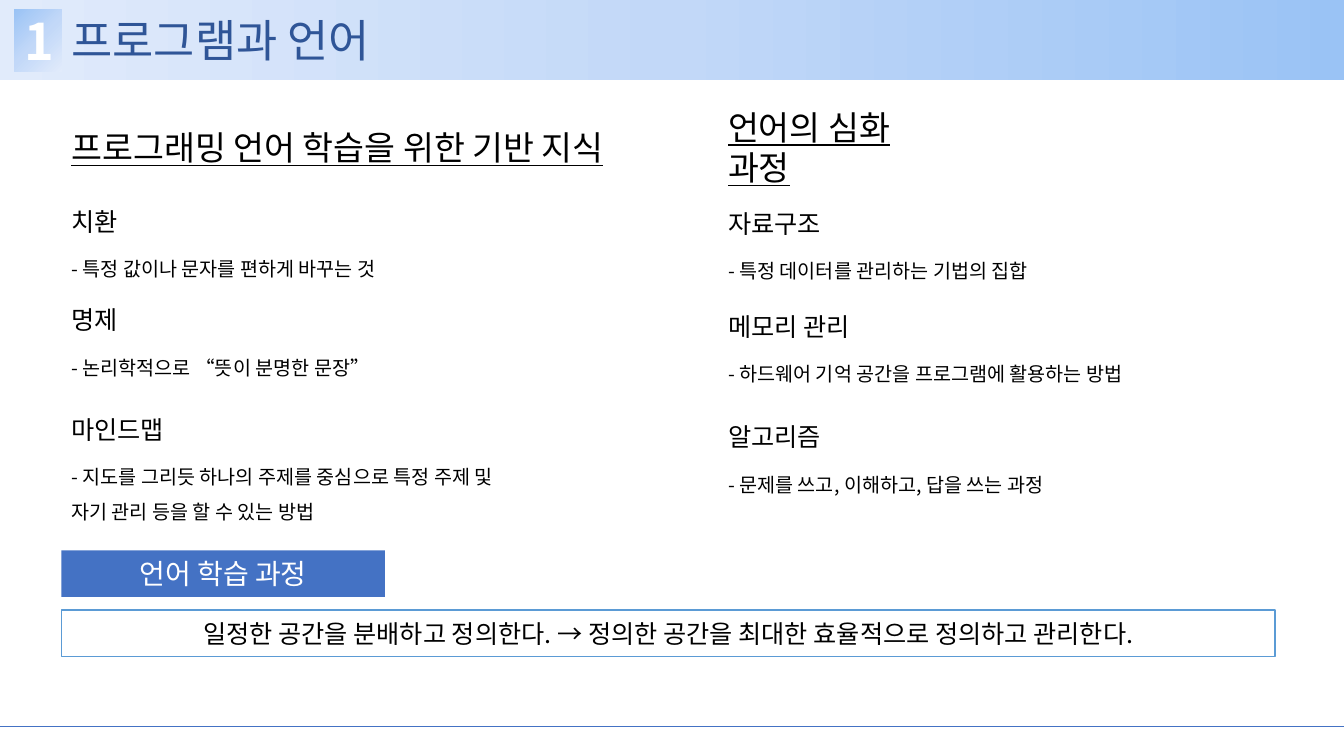
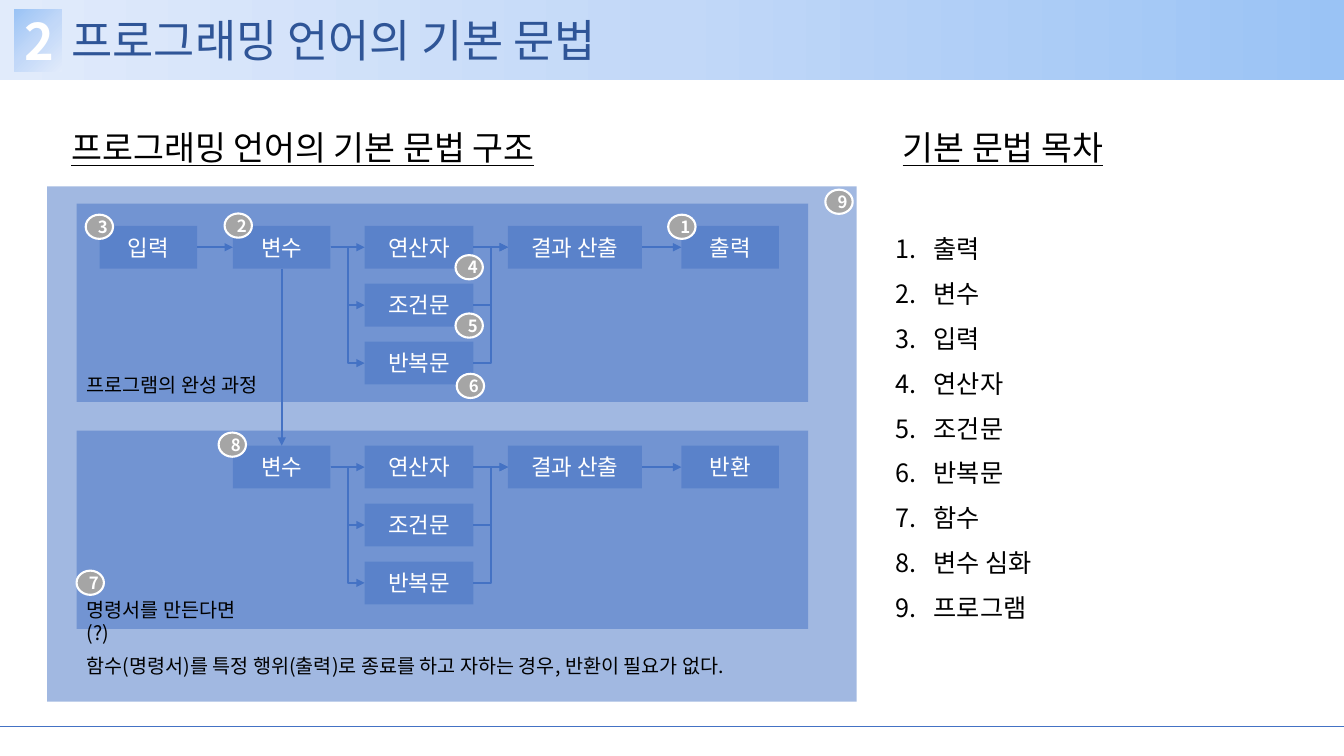
from lxml import etree
from pptx import Presentation
from pptx.dml.color import RGBColor
from pptx.enum.shapes import MSO_CONNECTOR, MSO_SHAPE
from pptx.enum.text import MSO_ANCHOR, PP_ALIGN
from pptx.oxml.ns import qn
from pptx.util import Cm, Pt

RECT, OVAL = MSO_SHAPE.RECTANGLE, MSO_SHAPE.OVAL
STRAIGHT, ELBOW = MSO_CONNECTOR.STRAIGHT, MSO_CONNECTOR.ELBOW
TOP, MIDDLE, BOTTOM = MSO_ANCHOR.TOP, MSO_ANCHOR.MIDDLE, MSO_ANCHOR.BOTTOM
LEFT, CENTER = PP_ALIGN.LEFT, PP_ALIGN.CENTER

FONT = "Noto Sans CJK KR"
LEAD = 1.19  # line height per point of text size
WIDE, HIGH = 33.87, 19.05
EDGE = 1.55
COLORS = {
    "blue": "4472C4", "navy": "2F5597", "sky": "5B9BD5", "gray": "A5A5A5",
    "white": "FFFFFF", "black": "000000",
    "deep": "9AC3F5", "mid": "C2D8F8", "pale": "E1EBFB",
}


def rgb(name):
    return RGBColor.from_string(COLORS[name])


class Deck:
    def __init__(self):
        self.prs = Presentation()
        self.prs.slide_width, self.prs.slide_height = Cm(WIDE), Cm(HIGH)
        self.slide = None

    def page(self, num, title):
        """New slide with band, number, title and foot line."""
        self.slide = self.prs.slides.add_slide(self.prs.slide_layouts[6])
        self.blend(self.shape(0, 0, WIDE, 2.03), 180)
        box = self.shape(0.36, 0.23, 1.2, 1.58)
        self.blend(box, 45)
        self.label(box, [num], 36, "white", CENTER, MIDDLE, bold=True)
        self.text(title, EDGE, 0.23, 22.3, 1.58, 32, "navy", BOTTOM)
        self.line(0, 18.31, WIDE, 18.31)

    def label(self, shape, lines, size, color="black", align=LEFT,
              anchor=TOP, bold=False, under=False, space=1, count=False):
        frame = shape.text_frame
        frame.word_wrap = True
        frame.vertical_anchor = anchor
        frame.text = "\n".join(lines)
        for para in frame.paragraphs:
            if count:
                props = para._p.get_or_add_pPr()
                props.set("marL", str(Cm(0.95)))
                props.set("indent", str(-Cm(0.95)))
                etree.SubElement(props, qn("a:buAutoNum"), type="arabicPeriod")
            para.alignment = align
            para.line_spacing = Pt(round(size * LEAD * space, 1))
            for run in para.runs:
                font = run.font
                font.name, font.size = FONT, Pt(size)
                font.bold, font.underline = bold, under
                font.color.rgb = rgb(color)
                etree.SubElement(run._r.get_or_add_rPr(), qn("a:ea"),
                                 typeface=FONT)

    def text(self, words, x, y, w, h, size, color="black", anchor=TOP, **style):
        box = self.slide.shapes.add_textbox(Cm(x), Cm(y), Cm(w), Cm(h))
        lines = [words] if isinstance(words, str) else words
        self.label(box, lines, size, color, anchor=anchor, **style)

    def head(self, words, x, w):
        self.text(words, x, 3.12, w, 1.17, 24, anchor=MIDDLE, under=True)

    def topic(self, name, note, x, y, gap=1.25, space=1):
        self.text(name, x, y, 3.63, 0.94, 18, anchor=MIDDLE)
        self.text(note, x, y + gap, 11.7, 1.22, 14, space=space)

    def shape(self, x, y, w, h, fill="blue", kind=RECT, edge=None, width=1):
        item = self.slide.shapes.add_shape(kind, Cm(x), Cm(y), Cm(w), Cm(h))
        item.shadow.inherit = False
        item.fill.solid()
        item.fill.fore_color.rgb = rgb(fill)
        if edge:
            item.line.color.rgb = rgb(edge)
            item.line.width = Pt(width)
        else:
            item.line.fill.background()
        return item

    def blend(self, shape, angle):
        """Three-stop gradient fill."""
        shape.fill.gradient()
        grad = shape._element.spPr.find(qn("a:gradFill"))
        stops = grad.find(qn("a:gsLst"))
        del stops[:]
        for place, name in ((0, "deep"), (50, "mid"), (100, "pale")):
            stop = etree.SubElement(stops, qn("a:gs"), pos=str(place * 1000))
            etree.SubElement(stop, qn("a:srgbClr"), val=COLORS[name])
        grad.find(qn("a:lin")).set("ang", str(angle * 60000))

    def glass(self, x, y, w, h, words=None):
        """Half-transparent blue box."""
        item = self.shape(x, y, w, h)
        tint = item._element.spPr.find(qn("a:solidFill"))[0]
        etree.SubElement(tint, qn("a:alpha"), val="50000")
        if words:
            self.label(item, [words], 16, "white", CENTER, MIDDLE)
        return item

    def badge(self, num, x, y):
        item = self.shape(x, y, 0.69, 0.61, "gray", OVAL, "white", 1.5)
        self.label(item, [num], 12, "white", CENTER, MIDDLE, bold=True)
        frame = item.text_frame
        frame.margin_left = Cm(0.18)
        frame.margin_right = frame.margin_top = frame.margin_bottom = 0

    def line(self, x, y, right, low, width=0.5, kind=STRAIGHT):
        item = self.slide.shapes.add_connector(
            kind, Cm(x), Cm(y), Cm(right), Cm(low))
        item.line.color.rgb = rgb("blue")
        item.line.width = Pt(width)
        etree.SubElement(item._element.spPr, qn("a:effectLst"))
        return item

    def link(self, start, end, out=3, into=1, kind=STRAIGHT):
        """Arrow joining the sides of two boxes."""
        item = self.line(0, 0, 1, 1, 1.5, kind)
        item.begin_connect(start, out)
        item.end_connect(end, into)
        outline = item._element.spPr.find(qn("a:ln"))
        etree.SubElement(outline, qn("a:tailEnd"), type="triangle")

    def flow(self, y, last):
        """Variable, three branches, result and last step."""
        var = self.glass(5.87, y, 2.46, 1.08, "변수")
        steps = [self.glass(9.19, y + 1.46 * i, 2.74, 1.08, name)
                 for i, name in enumerate(("연산자", "조건문", "반복문"))]
        result = self.glass(12.8, y, 3.38, 1.08, "결과 산출")
        final = self.glass(17.17, y, 2.46, 1.08, last)
        for i, step in enumerate(steps):
            kind = ELBOW if i else STRAIGHT
            self.link(var, step, kind=kind)
            self.link(step, result, kind=kind)
        self.link(result, final)
        return var


def first(deck):
    deck.page("1", "프로그램과 언어")
    # Left column
    deck.head("프로그래밍 언어 학습을 위한 기반 지식", EDGE, 15)
    deck.topic("치환", "- 특정 값이나 문자를 편하게 바꾸는 것", EDGE, 5.11)
    deck.topic("명제", "- 논리학적으로 “뜻이 분명한 문장”", EDGE, 7.59)
    deck.topic("마인드맵", "- 지도를 그리듯 하나의 주제를 중심으로 특정 주제 및 "
               "자기 관리 등을 할 수 있는 방법", EDGE, 10.36, 0.94, 1.5)
    # Right column
    side = 18.1
    deck.head("언어의 심화 과정", side, 6.2)
    deck.topic("자료구조", "- 특정 데이터를 관리하는 기법의 집합", side, 5.16)
    deck.topic("메모리 관리", "- 하드웨어 기억 공간을 프로그램에 활용하는 방법",
               side, 7.75)
    deck.topic("알고리즘", "- 문제를 쓰고, 이해하고, 답을 쓰는 과정", side, 10.54)
    # Summary
    box = deck.shape(EDGE, 15.37, 30.58, 1.17, "white", edge="sky")
    deck.label(box, ["일정한 공간을 분배하고 정의한다. → 정의한 공간을 최대한 "
                     "효율적으로 정의하고 관리한다."], 18, "black", CENTER, MIDDLE)
    tab = deck.shape(EDGE, 13.87, 8.15, 1.17)
    deck.label(tab, ["언어 학습 과정"], 20, "white", CENTER, MIDDLE)


def second(deck):
    deck.page("2", "프로그래밍 언어의 기본 문법")
    deck.head("프로그래밍 언어의 기본 문법 구조", EDGE, 15)
    # Panels
    left = 1.93
    deck.glass(1.19, 4.7, 20.4, 12.98)
    for y in (5.13, 10.85):
        deck.glass(left, y, 18.44, 5)
    # Flows
    source = deck.glass(2.51, 5.69, 2.46, 1.08, "입력")
    upper = deck.flow(5.69, "출력")
    lower = deck.flow(11.23, "반환")
    deck.link(source, upper)
    deck.link(upper, lower, 2, 0)
    # Captions
    deck.text("프로그램의 완성 과정", left, 9.27, 5.3, 0.91, 14)
    deck.text("명령서를 만든다면(?)", left, 14.94, 4.6, 0.91, 14)
    deck.text("함수(명령서)를 특정 행위(출력)로 종료를 하고 자하는 경우, "
              "반환이 필요가 없다.", left, 16.26, 19, 1.04, 14, anchor=MIDDLE)
    # Badges
    spots = ((16.84, 5.41), (5.66, 5.38), (2.16, 5.41), (11.48, 6.43),
             (11.48, 7.9), (11.51, 9.42), (1.93, 14.38), (5.51, 10.9),
             (20.8, 4.78))
    for num, (x, y) in enumerate(spots, 1):
        deck.badge(str(num), x, y)
    # Contents
    deck.head("기본 문법 목차", 22.5, 6.38)
    names = ["출력", "변수", "입력", "연산자", "조건문", "반복문", "함수",
             "변수 심화", "프로그램"]
    deck.text(names, 22.33, 5.38, 10.34, 10.74, 18, space=1.5, count=True)


def main():
    deck = Deck()
    first(deck)
    second(deck)
    deck.prs.save("out.pptx")


if __name__ == "__main__":
    main()
